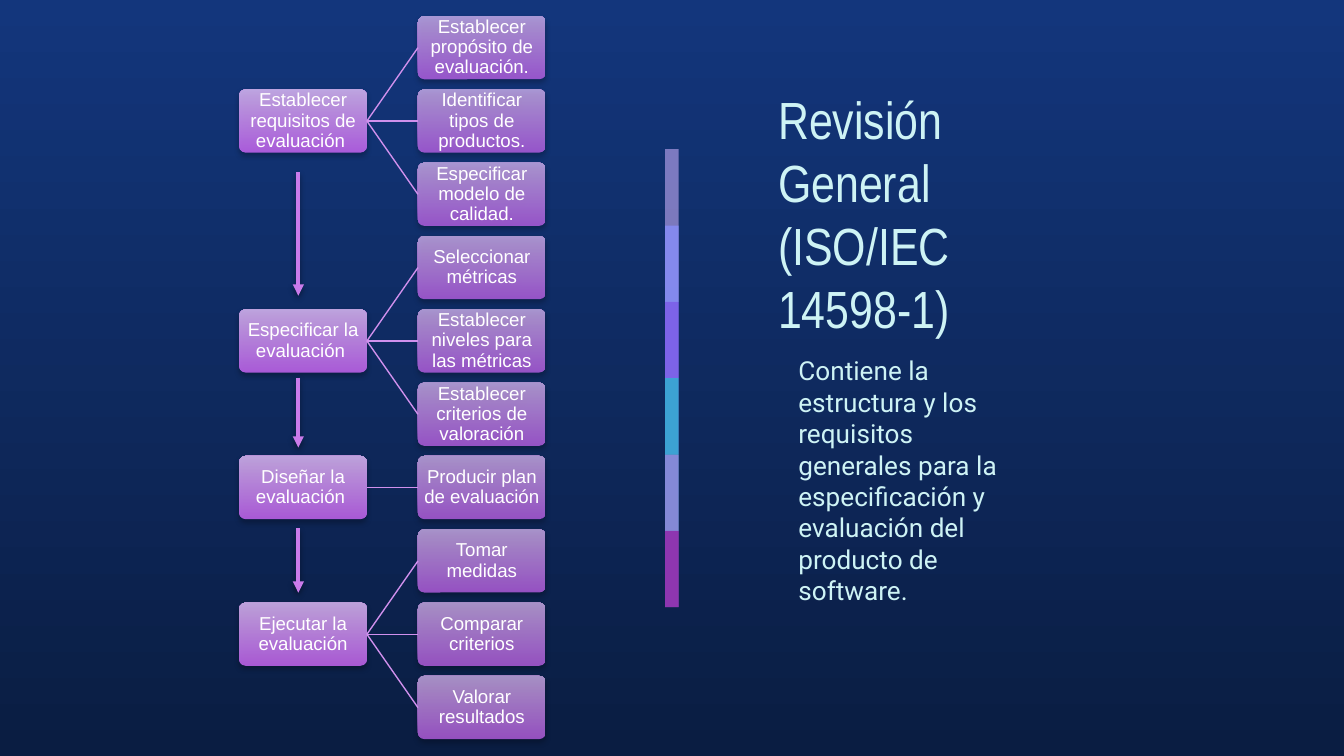
from dataclasses import dataclass

import pptx
import pptx.dml.color
import pptx.enum.dml
import pptx.enum.shapes
import pptx.enum.text
import pptx.oxml.ns
import pptx.util
from lxml import etree

Inches = pptx.util.Inches
Pt = pptx.util.Pt
RGB = pptx.dml.color.RGBColor.from_string
Shape = pptx.enum.shapes.MSO_SHAPE
Anchor = pptx.enum.text.MSO_ANCHOR
Align = pptx.enum.text.PP_ALIGN
qn = pptx.oxml.ns.qn


@dataclass(frozen=True)
class Theme:
    background: tuple = ("13367C", "0A1D42")
    box: tuple = ("D16AFC", "E9C2FF")
    branch: str = "D090ED"
    arrow: str = "CA7BEB"
    shadow: str = "000000"
    heading: str = "CEF3F5"
    box_text: str = "FFFFFF"
    title_font: str = "Arial Narrow"
    body_font: str = "Roboto"
    box_font: str = "Arial"
    title_size: int = 28
    body_size: int = 14
    box_size: int = 10


class SlideBuilder:
    def __init__(self, slide, theme):
        self.slide = slide
        self.theme = theme

    def gradient(self, fill, colors, angle, alpha=100):
        fill.gradient()
        fill.gradient_angle = angle
        for stop, color, position in zip(fill.gradient_stops, colors, (0, 1)):
            stop.color.rgb = RGB(color)
            stop.position = position
        for color in fill._xPr.iter(qn("a:srgbClr")):
            self.set_alpha(color, alpha)

    def set_alpha(self, color, percent):
        if percent < 100:
            etree.SubElement(color, qn("a:alpha"), val=str(percent * 1000))

    def shadow(self, shape, alpha, distance):
        effects = etree.SubElement(shape._element.spPr, qn("a:effectLst"))
        outer = etree.SubElement(effects, qn("a:outerShdw"), blurRad=str(Pt(3.1)),
                                 dist=str(Pt(distance)), dir="5400000", rotWithShape="0")
        color = etree.SubElement(outer, qn("a:srgbClr"), val=self.theme.shadow)
        self.set_alpha(color, alpha)

    def font(self, paragraph, name, size, color):
        for run in paragraph.runs:
            run.font.name = name
            run.font.size = Pt(size)
            run.font.color.rgb = RGB(color)

    def background(self):
        self.gradient(self.slide.background.fill, self.theme.background, 270)

    def stripe(self, left, top, width, height, color, alpha):
        stripe = self.slide.shapes.add_shape(
            Shape.RECTANGLE, Inches(left), Inches(top), Inches(width), Inches(height))
        stripe.shadow.inherit = False
        stripe.line.fill.background()
        stripe.fill.solid()
        stripe.fill.fore_color.rgb = RGB(color)
        self.set_alpha(next(stripe._element.spPr.iter(qn("a:srgbClr"))), alpha)

    def placeholder(self, holder, text, top, height, anchor, name, size, indent=0):
        holder.left, holder.top = Inches(5.69), Inches(top)
        holder.width, holder.height = Inches(2.08), Inches(height)
        frame = holder.text_frame
        frame.text = text
        frame.word_wrap = True
        frame.auto_size = pptx.enum.text.MSO_AUTO_SIZE.NONE
        frame.vertical_anchor = anchor
        frame.margin_left = frame.margin_right = Inches(0.1)
        frame.margin_top = frame.margin_bottom = Inches(0.1)
        paragraph = frame.paragraphs[0]
        paragraph.alignment = Align.LEFT
        paragraph.space_before = Pt(0)
        properties = paragraph._p.get_or_add_pPr()
        properties.set("marL", str(Inches(indent)))
        properties.set("indent", "0")
        etree.SubElement(properties, qn("a:buNone"))
        self.font(paragraph, name, size, self.theme.heading)

    def box(self, text, left, top, alpha):
        box = self.slide.shapes.add_shape(
            Shape.ROUNDED_RECTANGLE, Inches(left), Inches(top), Inches(0.95), Inches(0.47))
        box.adjustments[0] = 0.1
        self.gradient(box.fill, self.theme.box, 90, alpha)
        box.line.fill.background()
        self.shadow(box, 35, 1.8)
        frame = box.text_frame
        frame.text = text
        frame.word_wrap = True
        frame.vertical_anchor = Anchor.MIDDLE
        frame.margin_left = frame.margin_right = Inches(0.01)
        frame.margin_top = frame.margin_bottom = Inches(0.01)
        paragraph = frame.paragraphs[0]
        paragraph.alignment = Align.CENTER
        paragraph.line_spacing = 0.9
        self.font(paragraph, self.theme.box_font, self.theme.box_size, self.theme.box_text)
        return box

    def connector(self, start, end, color, width):
        connector = self.slide.shapes.add_connector(
            pptx.enum.shapes.MSO_CONNECTOR.STRAIGHT,
            Inches(start[0]), Inches(start[1]), Inches(end[0]), Inches(end[1]))
        connector.line.color.rgb = RGB(color)
        connector.line.width = Pt(width)
        return connector

    def branch(self, phase, step):
        branch = self.connector((0, 0), (1, 1), self.theme.branch, 0.75)
        branch.begin_connect(phase, 3)
        branch.end_connect(step, 1)
        etree.SubElement(branch._element.spPr, qn("a:effectLst"))

    def arrow(self, x, top, bottom):
        arrow = self.connector((x, top), (x, bottom), self.theme.arrow, 2)
        etree.SubElement(arrow.line._get_or_add_ln(), qn("a:tailEnd"), type="triangle")
        self.shadow(arrow, 38, 1.6)


STRIPES = [("C8AEF8", 59), ("878FFF", 74), ("9154F8", 53),
           ("35C2DF", 76), ("CA7BEB", 56), ("972CB4", 74)]
PHASES = [
    ("Establecer requisitos de evaluación ",
     ["Establecer propósito de evaluación.", "Identificar tipos de productos.",
      "Especificar modelo de calidad."]),
    ("Especificar la evaluación ",
     ["Seleccionar métricas", "Establecer niveles para las métricas",
      "Establecer criterios de valoración"]),
    ("Diseñar la evaluación ", ["Producir plan de evaluación"]),
    ("Ejecutar la evaluación",
     ["Tomar medidas", "Comparar criterios", "Valorar resultados"]),
]
ARROWS = [(1.28, 2.2), (2.81, 3.33), (3.93, 4.41)]


def main():
    deck = pptx.Presentation()
    deck.slide_width, deck.slide_height = Inches(10), Inches(10 * 9 / 16)
    theme = Theme()
    slide = deck.slides.add_slide(deck.slide_layouts[1])
    builder = SlideBuilder(slide, theme)
    builder.background()

    first_stripe, last_stripe = 1.11, 3.95
    stripe_pitch = (last_stripe - first_stripe) / (len(STRIPES) - 1)
    for index, (color, alpha) in enumerate(STRIPES):
        span = 1 if index == len(STRIPES) - 1 else 2
        builder.stripe(4.95, first_stripe + index * stripe_pitch, 0.1,
                       span * stripe_pitch, color, alpha)

    builder.placeholder(slide.shapes.title, "Revisión General (ISO/IEC 14598-1)",
                        1.56, 1.06, Anchor.BOTTOM, theme.title_font, theme.title_size)
    builder.placeholder(slide.placeholders[1],
                        "Contiene la estructura y los requisitos generales para la "
                        "especificación y evaluación del producto de software.",
                        2.54, 1.97, Anchor.TOP, theme.body_font, theme.body_size, 0.15)

    first_top, last_top = 0.12, 5.03
    step_count = sum(len(steps) for _, steps in PHASES)
    step_pitch = (last_top - first_top) / (step_count - 1)
    step_top = first_top
    for phase_text, steps in PHASES:
        phase_top = step_top + step_pitch * (len(steps) - 1) / 2
        phase = builder.box(phase_text, 1.78, phase_top, 80)
        for step_text in steps:
            step = builder.box(step_text, 3.11, step_top, 70)
            builder.branch(phase, step)
            step_top += step_pitch

    for top, bottom in ARROWS:
        builder.arrow(2.22, top, bottom)

    deck.save("out.pptx")


if __name__ == "__main__":
    main()
